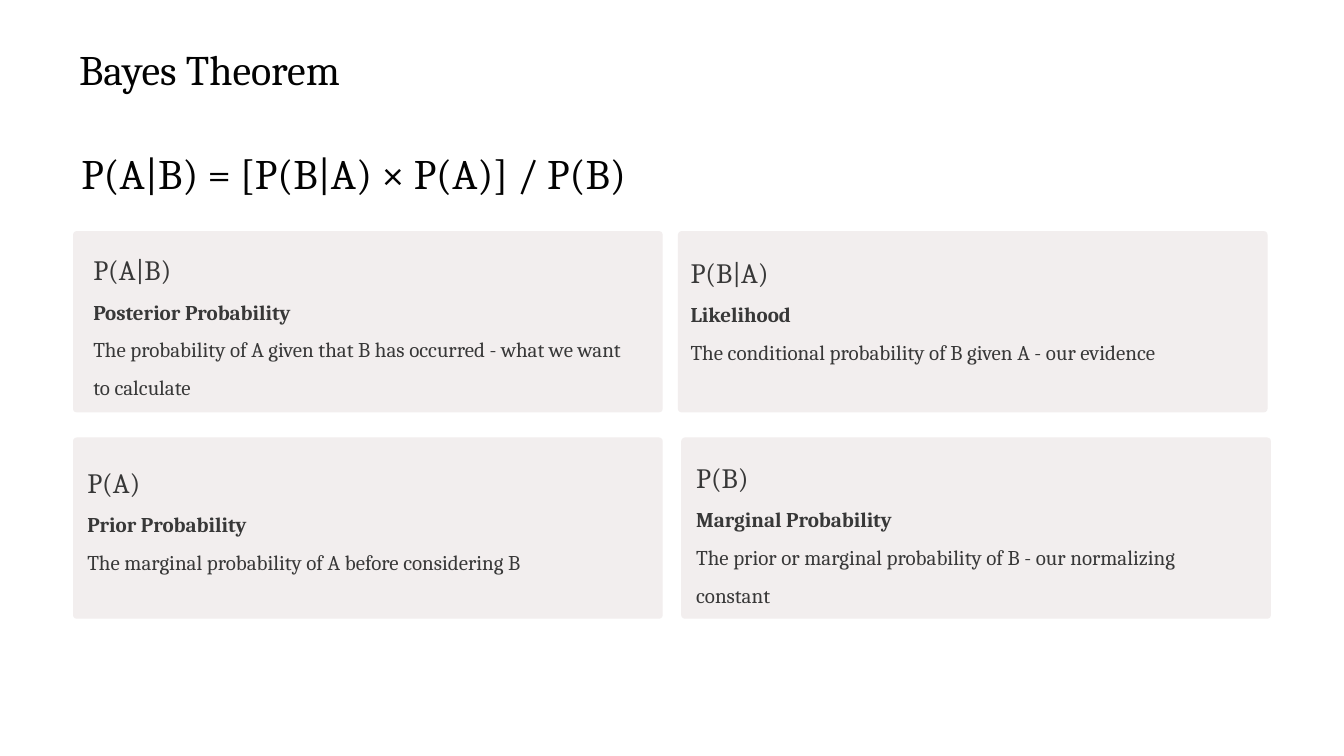
from lxml.etree import SubElement
from pptx import Presentation
from pptx.dml.color import RGBColor
from pptx.enum.shapes import MSO_SHAPE as Shape
from pptx.enum.text import MSO_ANCHOR as Anchor, MSO_AUTO_SIZE as AutoSize, PP_ALIGN as Align
from pptx.oxml.ns import qn
from pptx.util import Cm, Pt

COLORS = {"card": "F2EEEE", "heading": "020202", "text": "383838"}


class BayesSlide:
    """Holds the style and the slide being built."""

    font_name = "Cambria"

    def __init__(self, deck):
        self.slide = deck.slides.add_slide(deck.slide_layouts[3])
        self.shapes = self.slide.shapes

    def apply(self, target, values):
        for name, value in values.items():
            setattr(target, name, value)

    def card(self, left, top):
        panel = self.shapes.add_shape(
            Shape.ROUNDED_RECTANGLE, Cm(left), Cm(top), Cm(17.83), Cm(5.48))
        panel.adjustments[0] = 0.02
        panel.shadow.inherit = False
        panel.fill.solid()
        panel.fill.fore_color.rgb = RGBColor.from_string(COLORS["card"])
        panel.line.fill.background()

    def placeholder(self, holder, box, lines, spacing):
        """Move a placeholder to its box, in front of the cards, and fill it."""
        holder.element.getparent().append(holder.element)
        self.apply(holder, dict(zip(("left", "top", "width", "height"), map(Cm, box))))
        self.fill_text(holder.text_frame, lines, spacing, inset=(0, 0))

    def textbox(self, box, lines, spacing):
        holder = self.shapes.add_textbox(*map(Cm, box))
        self.fill_text(holder.text_frame, lines, spacing, inset=(0.25, 0.13))

    def fill_text(self, frame, lines, spacing, inset):
        side, edge = map(Cm, inset)
        self.apply(frame, {
            "word_wrap": True, "auto_size": AutoSize.NONE, "vertical_anchor": Anchor.TOP,
            "margin_left": side, "margin_right": side,
            "margin_top": edge, "margin_bottom": edge})
        for index, (text, size, bold, color) in enumerate(lines):
            paragraph = frame.add_paragraph() if index else frame.paragraphs[0]
            self.drop_bullet(paragraph._p.get_or_add_pPr())
            self.apply(paragraph, {
                "alignment": Align.LEFT, "line_spacing": spacing, "space_before": Pt(0)})
            run = paragraph.add_run()
            run.text = text
            self.apply(run.font, {"name": self.font_name, "size": Pt(size), "bold": bold})
            run.font.color.rgb = RGBColor.from_string(COLORS[color])

    def drop_bullet(self, properties):
        """Drop the bullet and its hanging indent."""
        for name in ("marL", "indent"):
            properties.set(name, "0")
        SubElement(properties, qn("a:buNone"))


def term(symbol, name, meaning):
    return [(symbol, 24, False, "text"), (name, 18, True, "text"), (meaning, 18, False, "text")]


def main():
    deck = Presentation()
    deck.slide_width, deck.slide_height = Cm(40.64), Cm(22.86)
    bayes = BayesSlide(deck)
    title, posterior, likelihood = bayes.slide.placeholders

    # Cards
    for top, right_column in ((6.99, 20.5), (13.23, 20.6)):
        for left in (2.21, right_column):
            bayes.card(left, top)

    # Title and formula
    bayes.placeholder(title, (2.39, 1.12, 37.92, 1.65),
                      [("Bayes Theorem", 36, False, "heading")], Pt(48.5))
    bayes.textbox((2.21, 2.44, 20.32, 3.18),
                  [("P(A|B) = [P(B|A) × P(A)] / P(B)", 36, False, "heading")], Pt(97))

    # Terms of the formula
    bayes.placeholder(posterior, (2.82, 7.14, 16.46, 6.05), term(
        "P(A|B)", "Posterior Probability",
        "The probability of A given that B has occurred - what we want to calculate"), 1.5)
    bayes.placeholder(likelihood, (20.88, 7.21, 17.68, 4.88), term(
        "P(B|A)", "Likelihood",
        "The conditional probability of B given A - our evidence"), 1.5)
    bayes.textbox((2.39, 13.44, 17.35, 5.13), term(
        "P(A)", "Prior Probability",
        "The marginal probability of A before considering B"), 1.5)
    bayes.textbox((20.8, 13.28, 17.07, 6.3), term(
        "P(B)", "Marginal Probability",
        "The prior or marginal probability of B - our normalizing constant"), 1.5)

    deck.save("out.pptx")


if __name__ == "__main__":
    main()
